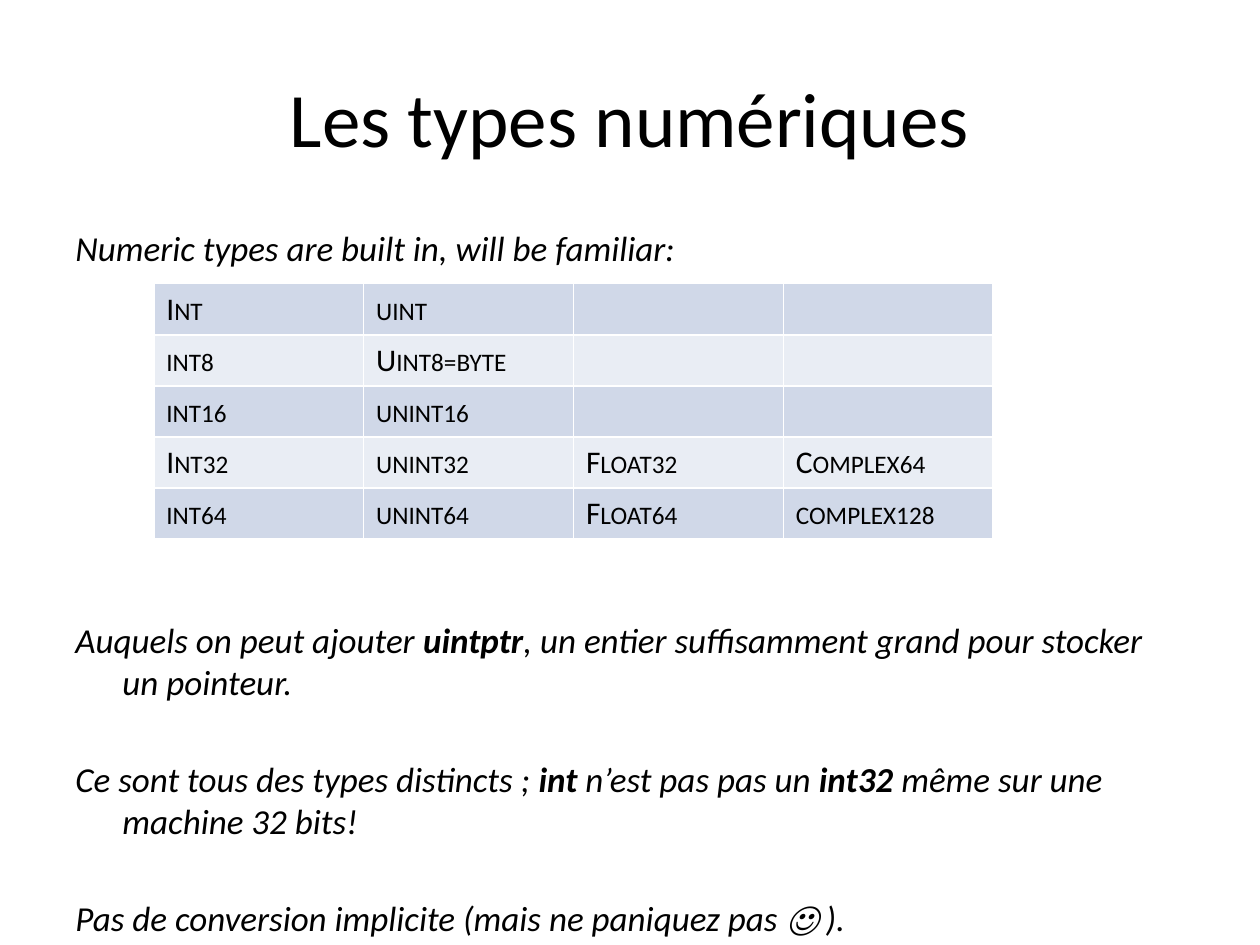
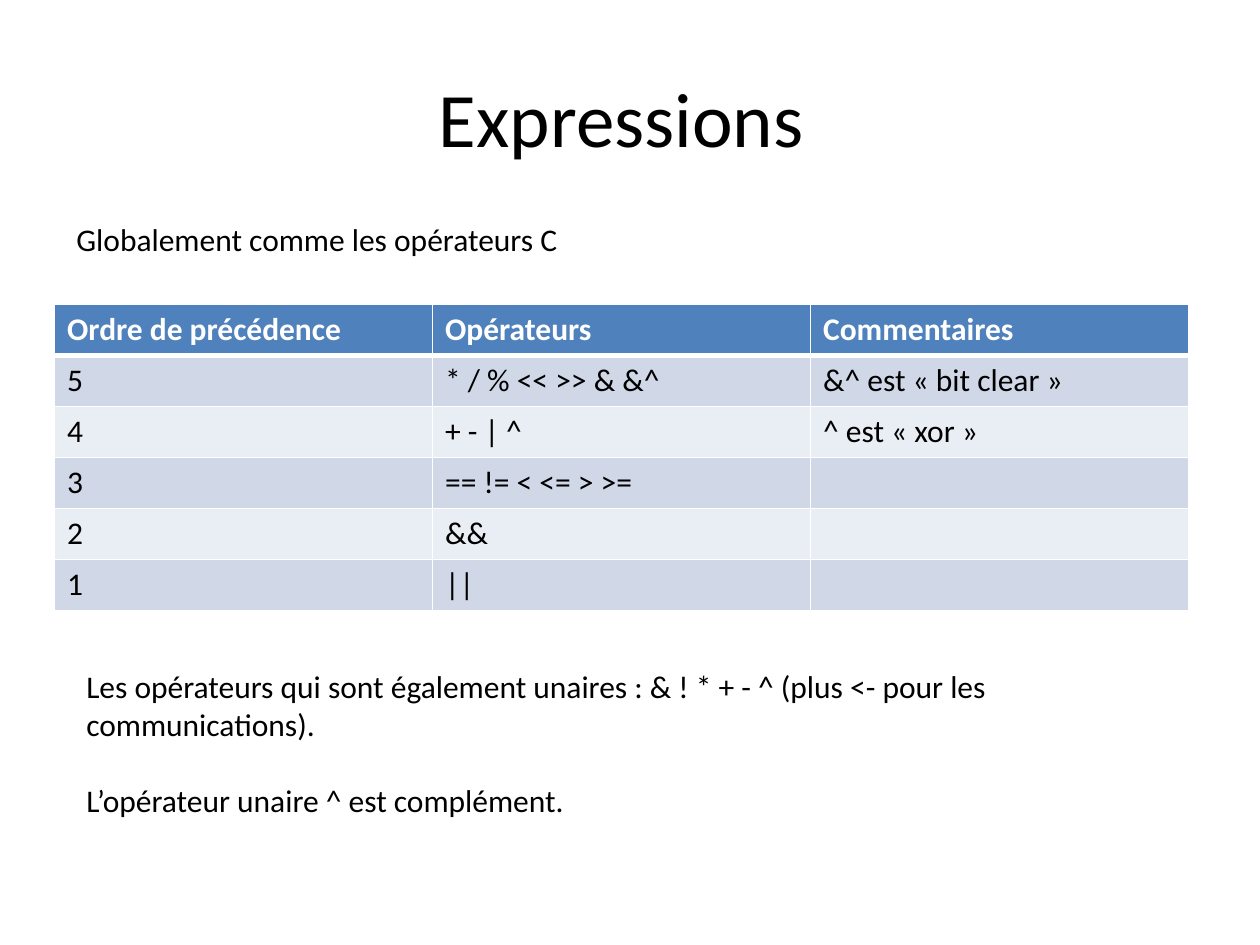
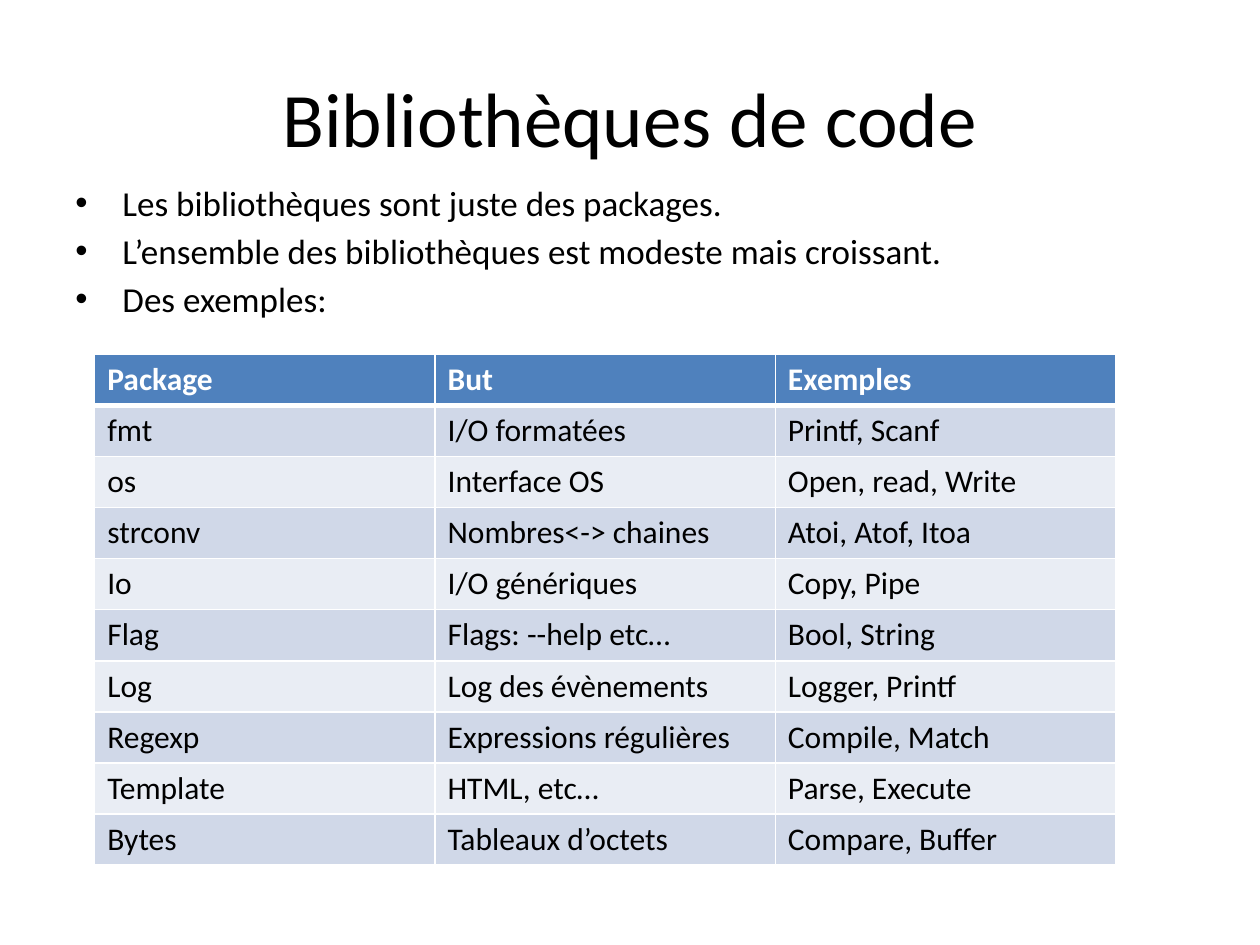
from dataclasses import dataclass

from lxml.etree import SubElement
from pptx import Presentation
from pptx.dml.color import RGBColor
from pptx.enum.text import MSO_ANCHOR, PP_ALIGN
from pptx.oxml.ns import qn
from pptx.util import Cm, Pt

FONT = "Calibri"
BLACK, WHITE = "000000", "FFFFFF"
HEADER_FILL, BAND_FILLS = "4F81BD", ("D0D8E8", "E9EDF4")
ROW_HEIGHT = 1.03
HANGING = 0.95


@dataclass
class TextBlock:
    left: float
    top: float
    width: float
    height: float
    lines: list[str]
    gaps: list[float]
    size: int = 18
    italic: bool = False
    hanging: bool = False
    bullet: str = ""


@dataclass
class Grid:
    left: float
    top: float
    col_width: float
    rows: list[list[str]]
    header: bool = True
    small_caps: bool = False


def rgb(hex_color: str) -> RGBColor:
    return RGBColor.from_string(hex_color)


def write(p, text: str, size: int = 18, color: str = BLACK, bold: bool = False,
          italic: bool = False, small_caps: bool = False) -> None:
    """Fill a paragraph; text between double asterisks becomes bold."""
    for i, part in enumerate(text.split("**")):
        if not part:
            continue
        r = p.add_run()
        r.text = part
        r.font.name, r.font.size = FONT, Pt(size)
        r.font.bold, r.font.italic = bold or i % 2 == 1, italic
        r.font.color.rgb = rgb(color)
        if small_caps:
            r.font._element.set("cap", "small")


def draw_text(slide, block: TextBlock) -> None:
    sp = slide.shapes.add_textbox(Cm(block.left), Cm(block.top), Cm(block.width), Cm(block.height))
    tf = sp.text_frame
    tf.word_wrap = True
    for i, (line, gap) in enumerate(zip(block.lines, block.gaps, strict=True)):
        p = tf.add_paragraph() if i else tf.paragraphs[0]
        p.space_before = Pt(gap)
        pPr = p._p.get_or_add_pPr()
        if block.hanging:
            pPr.set("marL", str(Cm(HANGING)))
            pPr.set("indent", str(-Cm(HANGING)))
        if block.bullet:
            SubElement(pPr, qn("a:buFont"), typeface="Arial")
            SubElement(pPr, qn("a:buChar"), char=block.bullet)
        write(p, line, size=block.size, italic=block.italic)


def set_borders(cell, top: float, bottom: float) -> None:
    tcPr = cell._tc.get_or_add_tcPr()
    for side, width in (("L", 1), ("R", 1), ("T", top), ("B", bottom)):
        ln = SubElement(tcPr, qn(f"a:ln{side}"), w=str(Pt(width)))
        fill = SubElement(ln, qn("a:solidFill"))
        SubElement(fill, qn("a:srgbClr"), val=WHITE)


def draw_grid(slide, grid: Grid) -> None:
    n_rows, n_cols = len(grid.rows), len(grid.rows[0])
    table = slide.shapes.add_table(n_rows, n_cols, Cm(grid.left), Cm(grid.top),
                                   Cm(grid.col_width * n_cols), Cm(ROW_HEIGHT * n_rows)).table
    table.first_row = grid.header
    for col in table.columns:
        col.width = Cm(grid.col_width)
    for i, texts in enumerate(grid.rows):
        table.rows[i].height = Cm(ROW_HEIGHT)
        is_header = grid.header and i == 0
        band = BAND_FILLS[(i - grid.header) % 2]
        for j, text in enumerate(texts):
            cell = table.cell(i, j)
            set_borders(cell, top=3 if grid.header and i == 1 else 1, bottom=3 if is_header else 1)
            cell.fill.solid()
            cell.fill.fore_color.rgb = rgb(HEADER_FILL if is_header else band)
            write(cell.text_frame.paragraphs[0], text, color=WHITE if is_header else BLACK,
                  bold=is_header, small_caps=grid.small_caps)


def add_slide(prs, title: str, items: list[TextBlock | Grid]) -> None:
    slide = prs.slides.add_slide(prs.slide_layouts[5])
    sp = slide.shapes.title
    sp.left, sp.top, sp.width, sp.height = Cm(1.27), Cm(0.76), Cm(22.86), Cm(3.18)
    tf = sp.text_frame
    tf.vertical_anchor = MSO_ANCHOR.MIDDLE
    p = tf.paragraphs[0]
    p.alignment = PP_ALIGN.CENTER
    write(p, title, size=44)
    for item in items:
        if isinstance(item, Grid):
            draw_grid(slide, item)
        else:
            draw_text(slide, item)


NUMERIC_TYPES = [
    TextBlock(1.27, 4.45, 22.86, 12.57, [
        "Numeric types are built in, will be familiar:",
        "Auquels on peut ajouter **uintptr**, un entier suffisamment grand pour stocker un pointeur.",
        "Ce sont tous des types distincts ; **int **n’est pas pas un **int32 **même sur une machine 32 bits!",
        "Pas de conversion implicite (mais ne paniquez pas ☺ ).",
    ], gaps=[0, 199.6, 31.6, 31.6], size=20, italic=True, hanging=True),
    Grid(3.1, 5.72, 4.23, [
        ["Int", "uint", "", ""],
        ["int8", "Uint8=byte", "", ""],
        ["int16", "unint16", "", ""],
        ["Int32", "unint32", "Float32", "Complex64"],
        ["int64", "unint64", "Float64", "complex128"],
    ], header=False, small_caps=True),
]

EXPRESSIONS = [
    Grid(1.1, 6.13, 7.62, [
        ["Ordre de précédence", "Opérateurs", "Commentaires"],
        ["5", "* / % << >> & &^", "&^ est « bit clear »"],
        ["4", "+ - | ^", "^ est « xor »"],
        ["3", "== != < <= > >=", ""],
        ["2", "&&", ""],
        ["1", "||", ""],
    ]),
    TextBlock(1.29, 4.32, 22, 1.03, ["Globalement comme les opérateurs C"], gaps=[0]),
    TextBlock(1.49, 13.33, 22.4, 3.33, [
        "Les opérateurs qui sont également unaires : & ! * + - ^ (plus <- pour les communications).",
        "L’opérateur unaire ^ est complément.",
    ], gaps=[0, 22]),
]

LIBRARIES = [
    TextBlock(1.27, 3.53, 22.86, 13.49, [
        "Les bibliothèques sont juste des packages.",
        "L’ensemble des bibliothèques est modeste mais croissant.",
        "Des exemples:",
    ], gaps=[0, 3.6, 3.6], size=20, hanging=True, bullet="•"),
    Grid(1.91, 7.14, 6.86, [
        ["Package", "But", "Exemples"],
        ["fmt", "I/O formatées", "Printf, Scanf"],
        ["os", "Interface OS", "Open, read, Write"],
        ["strconv", "Nombres<-> chaines", "Atoi, Atof, Itoa"],
        ["Io", "I/O génériques", "Copy, Pipe"],
        ["Flag", "Flags: --help etc…", "Bool, String"],
        ["Log", "Log des évènements", "Logger, Printf"],
        ["Regexp", "Expressions régulières", "Compile, Match"],
        ["Template", "HTML, etc…", "Parse, Execute"],
        ["Bytes", "Tableaux d’octets", "Compare, Buffer"],
    ]),
]


def main() -> None:
    prs = Presentation()
    prs.slide_width, prs.slide_height = Cm(25.4), Cm(19.05)
    add_slide(prs, "Les types numériques", NUMERIC_TYPES)
    add_slide(prs, "Expressions ", EXPRESSIONS)
    add_slide(prs, "Bibliothèques de code", LIBRARIES)
    prs.save("out.pptx")


if __name__ == "__main__":
    main()
